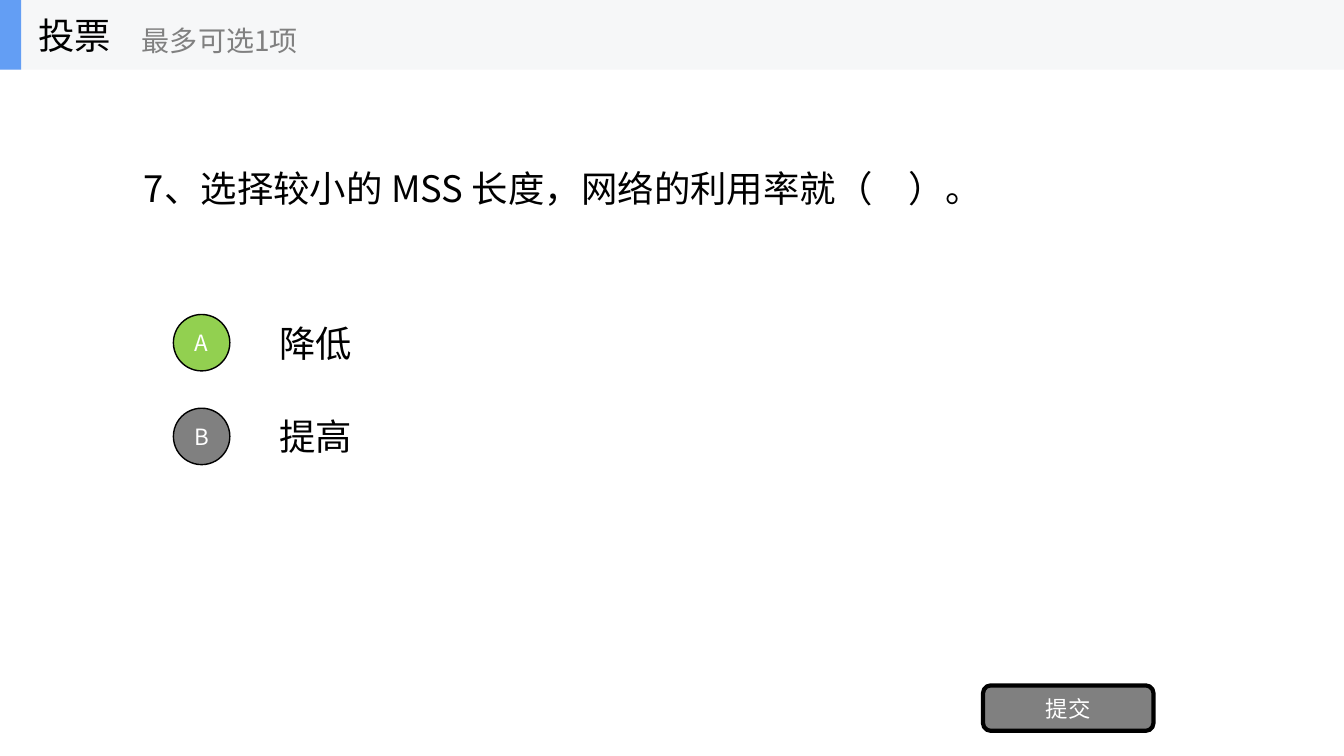
from pptx import Presentation
from pptx.dml.color import RGBColor
from pptx.enum import shapes, text
from pptx.oxml import ns
from pptx.util import Inches, Pt
from lxml import etree

# Content
TITLE = "投票"
HINT = "最多可选1项"
QUESTION = "7、选择较小的 MSS 长度，网络的利用率就（　）。"
OPTIONS = [("A", "降低", "chosen"), ("B", "提高", "gray")]
SUBMIT = "提交"

THEME = {
    "font": "Noto Sans CJK SC",
    "black": "000000", "white": "FFFFFF", "gray": "808080",
    "chosen": "92D050", "bar": "F6F7F8", "accent": "639EF4",
    "body": 26, "hint": 20, "label": 16,
}

# Layout in inches
WIDTH, HEIGHT = 13.33, 7.5
BAR_H = 0.69
OPTION_TOP, OPTION_STEP, OPTION_H = 3.05, 0.93, 0.7
DOT = 0.56

prs = Presentation()
prs.slide_width, prs.slide_height = Inches(WIDTH), Inches(HEIGHT)
slide = prs.slides.add_slide(prs.slide_layouts[6])


def color(name):
    return RGBColor.from_string(THEME[name])


def write(sp, words, size, ink, align=text.PP_ALIGN.LEFT, wrap=True):
    tf = sp.text_frame
    tf.text = words
    tf.word_wrap = wrap
    tf.vertical_anchor = text.MSO_ANCHOR.MIDDLE
    p = tf.paragraphs[0]
    p.alignment = align
    r = p.runs[0]
    r.font.size = Pt(THEME[size])
    r.font.name = THEME["font"]
    r.font.color.rgb = color(ink)
    ea = etree.SubElement(r.font._element, ns.qn("a:ea"))
    ea.set("typeface", THEME["font"])


def add_text(box, words, size="body", ink="black", wrap=True):
    sp = slide.shapes.add_textbox(*map(Inches, box))
    write(sp, words, size, ink, wrap=wrap)


def add_shape(kind, box, fill, line=None, words=None):
    sp = slide.shapes.add_shape(kind, *map(Inches, box))
    sp.shadow.inherit = False
    sp.fill.solid()
    sp.fill.fore_color.rgb = color(fill)
    if line:
        sp.line.color.rgb = color("black")
        sp.line.width = Pt(line)
    else:
        sp.line.fill.background()
    if words:
        tf = sp.text_frame
        tf.margin_left = tf.margin_right = tf.margin_top = tf.margin_bottom = 0
        write(sp, words, "label", "white", text.PP_ALIGN.CENTER)


SHAPE = shapes.MSO_SHAPE

# Question
add_text((1.33, BAR_H, 10.67, 2.34), QUESTION)

# Answer options
for i, (letter, answer, fill) in enumerate(OPTIONS):
    top = OPTION_TOP + i * OPTION_STEP
    add_text((2.67, top, 9.33, OPTION_H), answer)
    add_shape(SHAPE.OVAL, (1.72, top + (OPTION_H - DOT) / 2, DOT, DOT),
              fill, 1, letter)

# Submit button
add_shape(SHAPE.ROUNDED_RECTANGLE, (9.75, 6.8, 1.69, 0.45), "gray", 3, SUBMIT)

# Header bar
add_shape(SHAPE.RECTANGLE, (0, 0, WIDTH, BAR_H), "bar")
add_shape(SHAPE.RECTANGLE, (0, 0, 0.21, BAR_H), "accent")
add_text((0.28, 0, 2.08, BAR_H), TITLE, wrap=False)
add_text((1.31, 0.12, 2.5, 0.56), HINT, "hint", "gray", wrap=False)

prs.save("out.pptx")
